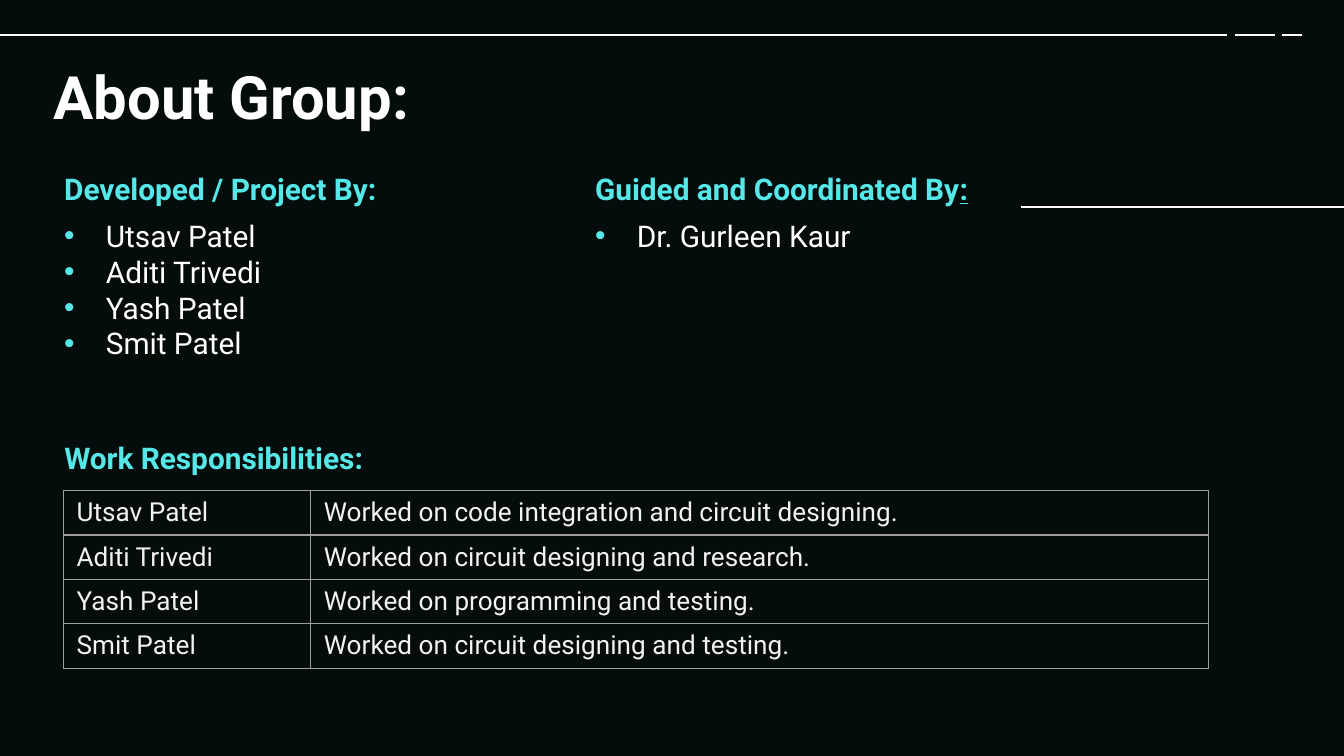
import pptx
import pptx.dml.color
import pptx.enum.shapes
import pptx.enum.text
import pptx.oxml.ns
import pptx.util
from lxml import etree

WIDTH = 10
HEIGHT = WIDTH * 9 / 16
FONT = "Roboto"
WHITE, CYAN, DARK = "FFFFFF", "56E8E8", "040D0B"
LIGHT, GREY = "F2F2F2", "9E9E9E"
LEFT_COLUMN, RIGHT_COLUMN = 0.38, 4.33
COLUMN_TOP = 1.17
ROW_HEIGHT = 0.33
DEVELOPERS = ["Utsav Patel", "Aditi Trivedi", "Yash Patel", "Smit Patel"]
TASKS = [
    "Worked on code integration and circuit designing.",
    "Worked on circuit designing and research.",
    "Worked on programming and testing.",
    "Worked on circuit designing and testing.",
]


def inches(*lengths):
    return [pptx.util.Inches(length) for length in lengths]


def color(value):
    return pptx.dml.color.RGBColor.from_string(value)


def add_element(parent, tag, **attributes):
    return etree.SubElement(parent, pptx.oxml.ns.qn(tag), attributes)


def add_text(paragraph, text, size=16, fill=WHITE, bold=False, underline=False):
    run = paragraph.add_run()
    run.text = text
    font = run.font
    font.name, font.size = FONT, pptx.util.Pt(size)
    font.bold, font.underline = bold, underline
    font.color.rgb = color(fill)


def format_frame(frame, anchor=pptx.enum.text.MSO_ANCHOR.TOP):
    frame.word_wrap = True
    frame.auto_size = pptx.enum.text.MSO_AUTO_SIZE.NONE
    frame.vertical_anchor = anchor
    margin = pptx.util.Inches(0.1)
    frame.margin_left = frame.margin_right = margin
    frame.margin_top = frame.margin_bottom = margin


def add_title(slide, text):
    title = slide.shapes.title
    title.left, title.top, title.width, title.height = inches(0.3, 0.35, 5.16, 0.73)
    format_frame(title.text_frame, pptx.enum.text.MSO_ANCHOR.BOTTOM)
    paragraph = title.text_frame.paragraphs[0]
    paragraph.alignment = pptx.enum.text.PP_ALIGN.LEFT
    add_text(paragraph, text, size=32, bold=True)


def add_bullet(paragraph):
    properties = paragraph._p.get_or_add_pPr()
    indent = pptx.util.Inches(0.31)
    properties.set("marL", str(indent))
    properties.set("indent", str(-indent))
    bullet_color = add_element(properties, "a:buClr")
    add_element(bullet_color, "a:srgbClr", val=CYAN)
    add_element(properties, "a:buFont", typeface="Arial")
    add_element(properties, "a:buChar", char="•")


def add_section(slide, left, top, width, height, heading, names=()):
    """Add a cyan heading with an optional bulleted list; return the heading."""
    box = slide.shapes.add_textbox(*inches(left, top, width, height))
    frame = box.text_frame
    format_frame(frame)
    heading_paragraph = frame.paragraphs[0]
    add_text(heading_paragraph, heading, fill=CYAN, bold=True)
    for index, name in enumerate(names):
        paragraph = frame.add_paragraph()
        add_bullet(paragraph)
        if index == 0:
            paragraph.space_before = pptx.util.Pt(6)
        add_text(paragraph, name)
    return heading_paragraph


def add_line(slide, start, end, y):
    line = slide.shapes.add_connector(
        pptx.enum.shapes.MSO_CONNECTOR.STRAIGHT, *inches(start, y, end, y))
    line.line.color.rgb = color(WHITE)
    line.line.width = pptx.util.Pt(0.75)
    add_element(line._element.spPr, "a:effectLst")


def format_cell(cell, text):
    properties = cell._tc.get_or_add_tcPr()
    for side in ("a:lnL", "a:lnR", "a:lnT", "a:lnB"):
        border = add_element(properties, side, w=str(pptx.util.Pt(0.75)))
        add_element(add_element(border, "a:solidFill"), "a:srgbClr", val=GREY)
    cell.fill.background()
    add_text(cell.text_frame.paragraphs[0], text, size=14, fill=LIGHT)


def add_task_table(slide, rows, left, top, column_widths):
    frame = slide.shapes.add_table(
        len(rows), len(column_widths),
        *inches(left, top, sum(column_widths), ROW_HEIGHT * len(rows)))
    table = frame.table
    table.first_row = table.horz_banding = False
    for column, width in zip(table.columns, column_widths):
        column.width = pptx.util.Inches(width)
    for row, texts in zip(table.rows, rows):
        row.height = pptx.util.Inches(ROW_HEIGHT)
        for cell, text in zip(row.cells, texts):
            format_cell(cell, text)


def main():
    presentation = pptx.Presentation()
    presentation.slide_width, presentation.slide_height = inches(WIDTH, HEIGHT)
    slide = presentation.slides.add_slide(presentation.slide_layouts[5])
    slide.background.fill.solid()
    slide.background.fill.fore_color.rgb = color(DARK)

    # Broken rule along the top
    for start, end in ((0, 9.13), (9.19, 9.49), (9.54, 9.69)):
        add_line(slide, start, end, 0.26)

    add_title(slide, "About Group:")

    # People, in two columns
    guide_heading = add_section(
        slide, RIGHT_COLUMN, COLUMN_TOP, 3.27, 0.73,
        "Guided and Coordinated By", ["Dr. Gurleen Kaur"])
    add_text(guide_heading, ":", fill=CYAN, bold=True, underline=True)
    add_line(slide, 7.6, 10.08, 1.54)
    add_section(slide, LEFT_COLUMN, COLUMN_TOP, 2.96, 1.77,
                "Developed / Project By:", DEVELOPERS)

    # Responsibilities
    add_section(slide, LEFT_COLUMN, 3.17, 9.51, 2.31, "Work Responsibilities:")
    add_task_table(slide, list(zip(DEVELOPERS, TASKS)), 0.47, 3.65, (1.84, 6.68))

    presentation.save("out.pptx")


if __name__ == "__main__":
    main()
